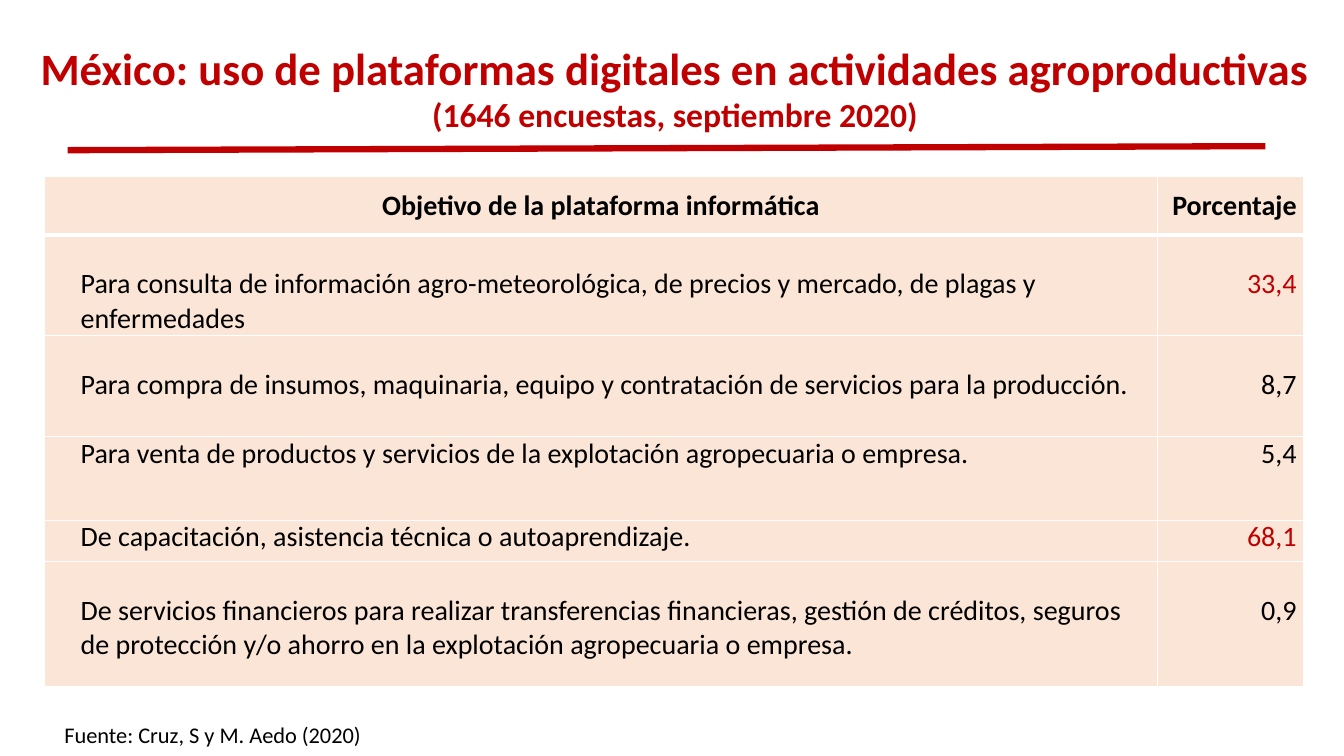
from dataclasses import dataclass

from lxml import etree
from pptx import Presentation
from pptx import util as u
from pptx.dml import color
from pptx.enum import shapes, text
from pptx.oxml import ns

COLORS = {"red": "C00000", "black": "000000", "peach": "FBE5D6", "white": "FFFFFF"}
FONT = "Calibri"
BLANK_LINE = 0.32
HEADER_HEIGHT = 0.58
COLUMN_WIDTHS = (11.04, 1.45)
LEFT, CENTER = text.PP_ALIGN.LEFT, text.PP_ALIGN.CENTER
RIGHT, JUSTIFY = text.PP_ALIGN.RIGHT, text.PP_ALIGN.JUSTIFY


@dataclass
class Objective:
    label: str
    share: str
    height: float
    top: float = 0
    share_color: str = "black"
    align: text.PP_ALIGN = LEFT
    margin: float = 0.29
    first_line: float = 0


OBJECTIVES = [
    Objective("Para consulta de información agro-meteorológica, de precios y mercado, "
              "de plagas y enfermedades", "33,4", 1.0, BLANK_LINE, "red"),
    Objective("Para compra de insumos, maquinaria, equipo y contratación de servicios "
              "para la producción.", "8,7", 1.0, BLANK_LINE),
    Objective("Para venta de productos y servicios de la explotación agropecuaria o empresa.",
              "5,4", 0.83, margin=0, first_line=0.29),
    Objective("De capacitación, asistencia técnica o autoaprendizaje.", "68,1", 0.41,
              share_color="red", align=JUSTIFY, margin=0, first_line=0.29),
    Objective("De servicios financieros para realizar transferencias financieras, gestión de "
              "créditos, seguros de protección y/o ahorro en la explotación agropecuaria o "
              "empresa.", "0,9", 1.24, BLANK_LINE),
]


def rgb(name: str) -> color.RGBColor:
    return color.RGBColor.from_string(COLORS[name])


def style_run(run, size: float, ink: str, bold: bool = False) -> None:
    run.font.name = FONT
    run.font.size = u.Pt(size)
    run.font.bold = bold
    run.font.color.rgb = rgb(ink)


def add_label(slide, at: tuple, content: str, size: float, ink: str,
              bold: bool = False, wrap: bool = True):
    frame = slide.shapes.add_textbox(*map(u.Inches, at)).text_frame
    frame.word_wrap = wrap
    frame.auto_size = text.MSO_AUTO_SIZE.SHAPE_TO_FIT_TEXT
    frame.text = content
    style_run(frame.paragraphs[0].runs[0], size, ink, bold)
    return frame.paragraphs[0]


def set_borders(cell, top: float = 1, bottom: float = 1) -> None:
    properties = cell._tc.get_or_add_tcPr()
    widths = {"lnL": 1, "lnR": 1, "lnT": top, "lnB": bottom}
    for position, (side, width) in enumerate(widths.items()):
        border = etree.Element(ns.qn(f"a:{side}"), w=str(u.Pt(width)))
        fill = etree.SubElement(border, ns.qn("a:solidFill"))
        etree.SubElement(fill, ns.qn("a:srgbClr"), val=COLORS["white"])
        properties.insert(position, border)


def fill_cell(cell, content: str, align: text.PP_ALIGN, ink: str = "black",
              bold: bool = False, top: float = 0):
    cell.margin_left = cell.margin_right = u.Inches(0.07)
    cell.margin_top, cell.margin_bottom = u.Inches(top), 0
    cell.fill.solid()
    cell.fill.fore_color.rgb = rgb("peach")
    cell.text = content
    paragraph = cell.text_frame.paragraphs[0]
    paragraph.alignment = align
    style_run(paragraph.runs[0], 20, ink, bold)
    return paragraph


def add_objectives(slide) -> None:
    heights = [HEADER_HEIGHT] + [objective.height for objective in OBJECTIVES]
    table = slide.shapes.add_table(
        len(heights), len(COLUMN_WIDTHS), u.Inches(0.44), u.Inches(1.75),
        u.Inches(sum(COLUMN_WIDTHS)), u.Inches(sum(heights))).table
    for column, width in zip(table.columns, COLUMN_WIDTHS):
        column.width = u.Inches(width)
    for row, height in zip(table.rows, heights):
        row.height = u.Inches(height)

    headings = (("Objetivo de la plataforma informática", CENTER), ("Porcentaje", RIGHT))
    for column, (heading, align) in enumerate(headings):
        cell = table.cell(0, column)
        fill_cell(cell, heading, align, bold=True)
        cell.vertical_anchor = text.MSO_ANCHOR.MIDDLE
        set_borders(cell, bottom=3)

    for row, objective in enumerate(OBJECTIVES, start=1):
        label, share = table.cell(row, 0), table.cell(row, 1)
        paragraph = fill_cell(label, objective.label, objective.align, top=objective.top)
        indents = paragraph._p.get_or_add_pPr()
        indents.set("marL", str(u.Inches(objective.margin)))
        indents.set("indent", str(u.Inches(objective.first_line)))
        fill_cell(share, objective.share, RIGHT, objective.share_color, top=objective.top)
        for cell in (label, share):
            set_borders(cell, top=3 if row == 1 else 1)


def add_title_rule(slide) -> None:
    rule = slide.shapes.add_connector(
        shapes.MSO_CONNECTOR.STRAIGHT, *map(u.Inches, (0.67, 1.49, 12.55, 1.45)))
    rule.line.color.rgb = rgb("red")
    rule.line.width = u.Pt(4.5)
    etree.SubElement(rule._element.spPr, ns.qn("a:effectLst"))


def main() -> None:
    deck = Presentation()
    deck.slide_width, deck.slide_height = u.Inches(13.33), u.Inches(7.5)
    slide = deck.slides.add_slide(deck.slide_layouts[6])

    title = add_label(slide, (0.29, 0.35, 12.81, 2.66),
                      "México: uso de plataformas digitales en actividades agroproductivas ",
                      32, "red", bold=True)
    title.alignment = CENTER
    survey = title.add_run()
    survey.text = "(1646 encuestas, septiembre 2020)"
    style_run(survey, 24, "red", bold=True)

    add_objectives(slide)
    add_title_rule(slide)
    add_label(slide, (0.54, 7.11, 3.24, 0.37), "Fuente: Cruz, S y M. Aedo (2020)",
              16, "black", wrap=False)
    deck.save("out.pptx")


if __name__ == "__main__":
    main()
